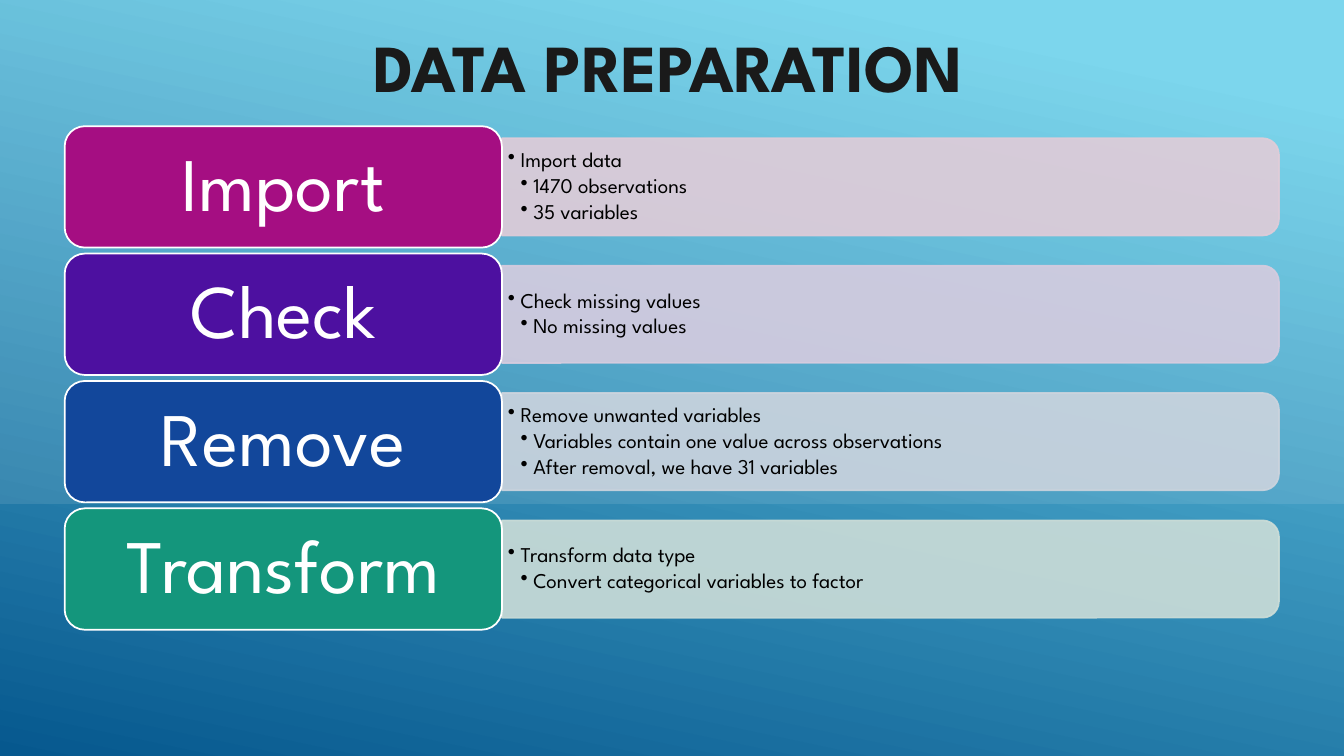
from dataclasses import dataclass

from lxml.etree import SubElement
from pptx import Presentation
from pptx.dml.color import RGBColor
from pptx.enum.shapes import MSO_SHAPE
from pptx.enum.text import MSO_ANCHOR, MSO_AUTO_SIZE, PP_ALIGN
from pptx.oxml.ns import qn
from pptx.shapes.autoshape import Shape
from pptx.slide import Slide
from pptx.text.text import Font, TextFrame
from pptx.util import Cm, Pt

FONT = "League Spartan"
SLIDE_WIDTH, SLIDE_HEIGHT = 33.87, 19.05
HORIZON = 12.7
CARD_LEFT, CARD_WIDTH, CARD_HEIGHT = 1.63, 11.02, 3.06
FIRST_TOP, ROW_PITCH = 3.18, 3.21
DETAIL_LEFT = CARD_LEFT + CARD_WIDTH
DETAIL_WIDTH, DETAIL_HEIGHT = 19.58, 2.45
BULLET_INDENT = 0.32


@dataclass
class Step:
    name: str
    colour: str
    tint: str
    summary: str
    findings: list[str]


STEPS = [
    Step("Import", "A50E82", "E1CCD8", "Import data",
         ["1470 observations", "35 variables"]),
    Step("Check", "4D10A0", "D6CCDF", "Check missing values",
         ["No missing values"]),
    Step("Remove", "12479B", "CCD4DE", "Remove unwanted variables",
         ["Variables contain one value across observations",
          "After removal, we have 31 variables"]),
    Step("Transform", "14967C", "CCDDD8", "Transform data type",
         ["Convert categorical variables to factor"]),
]


def rgb(colour: str) -> RGBColor:
    return RGBColor.from_string(colour)


def style_font(font: Font, size: float, colour: str, bold: bool = False) -> None:
    font.name = FONT
    font.size = Pt(size)
    font.bold = bold
    font.color.rgb = rgb(colour)


def set_insets(frame: TextFrame, horizontal: float, vertical: float) -> None:
    frame.margin_left = frame.margin_right = Cm(horizontal)
    frame.margin_top = frame.margin_bottom = Cm(vertical)


def add_block(slide: Slide, kind: MSO_SHAPE, left: float, top: float, width: float,
              height: float, colour: str, outline: str | None = None,
              opacity: int = 100) -> Shape:
    block = slide.shapes.add_shape(kind, Cm(left), Cm(top), Cm(width), Cm(height))
    block.shadow.inherit = False
    block.fill.solid()
    block.fill.fore_color.rgb = rgb(colour)
    if outline:
        block.line.color.rgb = rgb(outline)
        block.line.width = Pt(1.25)
    else:
        block.line.fill.background()
    if opacity < 100:
        for paint in block._element.spPr.iter(qn("a:srgbClr")):
            SubElement(paint, qn("a:alpha"), val=str(opacity * 1000))
    return block


def add_backdrop(slide: Slide) -> None:
    sky = add_block(slide, MSO_SHAPE.RECTANGLE, 0, 0, SLIDE_WIDTH, SLIDE_HEIGHT, "6ED2EB")
    sky.fill.gradient()
    sky.fill.gradient_angle = 258
    for stop, (position, colour) in zip(sky.fill.gradient_stops,
                                        [(0.1, "6ED2EB"), (1, "06588E")]):
        stop.position = position
        stop.color.rgb = rgb(colour)
    slide.shapes.title._element.addprevious(sky._element)
    haze = add_block(slide, MSO_SHAPE.SNIP_2_DIAG_RECTANGLE, 0, 0, SLIDE_WIDTH, HORIZON,
                     "FFFFFF", opacity=10)
    haze.adjustments[0] = haze.adjustments[1] = 0


def format_title(slide: Slide) -> None:
    title = slide.shapes.title
    title.left, title.top, title.width, title.height = Cm(8.33), Cm(0.05), Cm(17.02), Cm(3.2)
    frame = title.text_frame
    frame.text = "DATA PREPARATION"
    frame.auto_size = MSO_AUTO_SIZE.NONE
    frame.vertical_anchor = MSO_ANCHOR.MIDDLE
    heading = frame.paragraphs[0]
    heading.alignment = PP_ALIGN.CENTER
    style_font(heading.font, 48, "000000", bold=True)


def add_details(slide: Slide, step: Step, middle: float) -> None:
    add_block(slide, MSO_SHAPE.ROUND_2_SAME_RECTANGLE,
              DETAIL_LEFT + (DETAIL_WIDTH - DETAIL_HEIGHT) / 2, middle - DETAIL_WIDTH / 2,
              DETAIL_HEIGHT, DETAIL_WIDTH, step.tint, step.tint, 90).rotation = 90
    details = slide.shapes.add_textbox(Cm(DETAIL_LEFT), Cm(middle - 1.1), Cm(19.48), Cm(2.2))
    frame = details.text_frame
    frame.word_wrap = True
    frame.vertical_anchor = MSO_ANCHOR.MIDDLE
    set_insets(frame, 0.15, 0.08)
    frame.text = "\n".join([step.summary, *step.findings])
    for index, paragraph in enumerate(frame.paragraphs):
        level = 2 if index else 1
        paragraph.level = level
        paragraph.line_spacing = 0.9
        paragraph.space_after = Pt(2.25)
        properties = paragraph._p.get_or_add_pPr()
        properties.set("marL", str(Cm(BULLET_INDENT * level)))
        properties.set("indent", str(-Cm(BULLET_INDENT)))
        SubElement(properties, qn("a:buChar"), char="•")
        style_font(paragraph.font, 15, "000000")


def add_card(slide: Slide, step: Step, top: float) -> None:
    card = add_block(slide, MSO_SHAPE.ROUNDED_RECTANGLE, CARD_LEFT, top, CARD_WIDTH,
                     CARD_HEIGHT, step.colour, "FFFFFF")
    frame = card.text_frame
    frame.word_wrap = True
    frame.vertical_anchor = MSO_ANCHOR.MIDDLE
    set_insets(frame, 0.58, 0.28)
    frame.text = step.name
    label = frame.paragraphs[0]
    label.alignment = PP_ALIGN.CENTER
    label.line_spacing = 0.9
    style_font(label.font, 54, "FFFFFF")


def main() -> None:
    presentation = Presentation()
    presentation.slide_width = Cm(SLIDE_WIDTH)
    presentation.slide_height = Cm(SLIDE_HEIGHT)
    slide = presentation.slides.add_slide(presentation.slide_layouts[5])
    format_title(slide)
    add_backdrop(slide)
    for row, step in enumerate(STEPS):
        top = FIRST_TOP + row * ROW_PITCH
        add_details(slide, step, top + CARD_HEIGHT / 2)
        add_card(slide, step, top)
    presentation.save("out.pptx")


if __name__ == "__main__":
    main()
